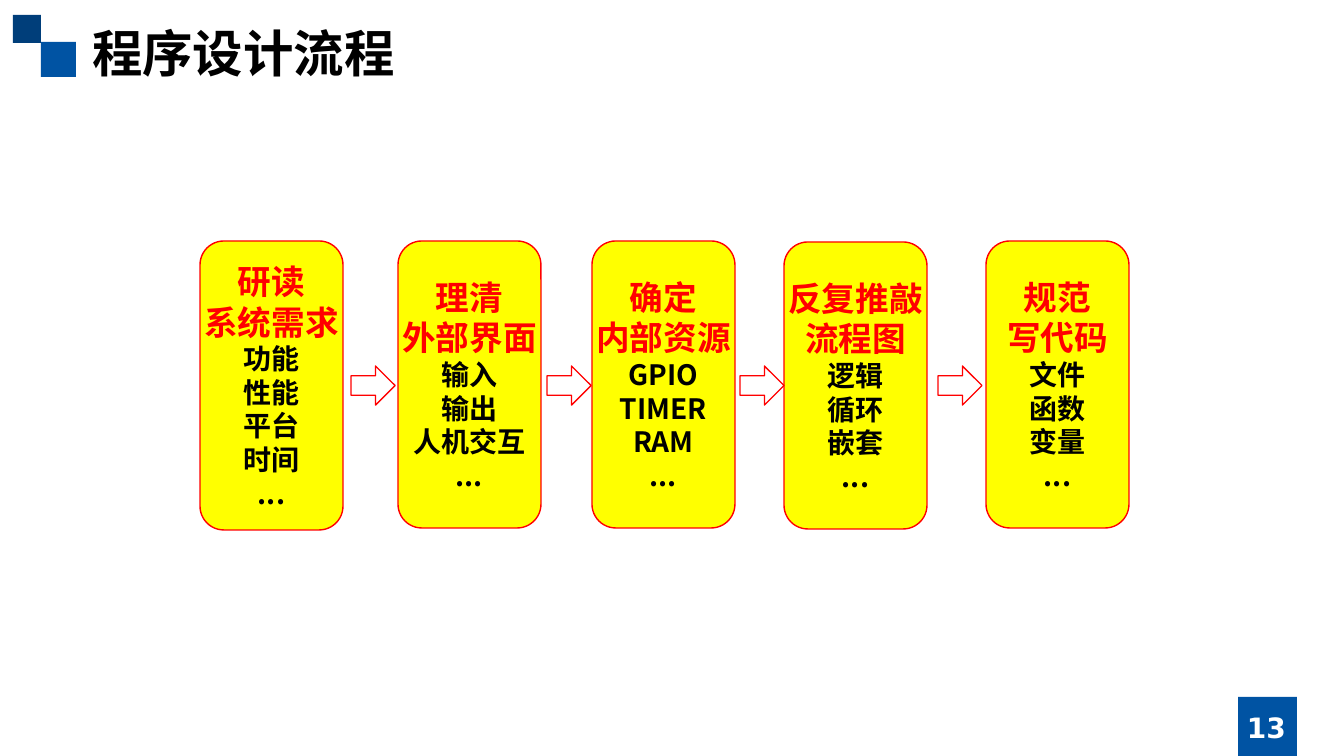
import pptx
import pptx.util
import pptx.dml.color
import pptx.enum.shapes
import pptx.enum.text
import pptx.oxml.ns
import lxml.etree

# Content: lengths are px, (left, top, width, height)
SCALE = 914400 / 100.8
SLIDE_SIZE = (1344, 756)
TITLE = "程序设计流程"
TITLE_BOX = (82, 17, 596, 72)
PAGE_NUMBER = "13"
PAGE_NUMBER_BOX = (1190, 707, 153, 40)
DECORATIONS = [
    ((41, 42, 35, 35), "0053A3"),
    ((13, 15, 28, 28), "003E7A"),
    ((1238, 697, 59, 59), "0053A3"),
]
# Step: left, top, height, heading lines, detail lines
STEPS = [
    (200, 241, 289, ["研读", "系统需求"], ["功能", "性能", "平台", "时间", "..."]),
    (398, 241, 287, ["理清", "外部界面"], ["输入", "输出", "人机交互", "..."]),
    (592, 241, 287, ["确定", "内部资源"], ["GPIO", "TIMER", "RAM", "..."]),
    (784, 242, 287, ["反复推敲", "流程图"], ["逻辑", "循环", "嵌套", "..."]),
    (986, 241, 287, ["规范", "写代码"], ["文件", "函数", "变量", "..."]),
]
STEP_WIDTH = 143
ARROW_LEFTS = [351, 547, 740, 938]
ARROW_TOP, ARROW_WIDTH, ARROW_HEIGHT = 366, 44, 39

# Formats
CHINESE = "Noto Sans CJK SC"
LINE_RATIO = 1.2
TITLE_FORMAT = {"name": CHINESE, "size": 36, "bold": True, "color": "000000"}
HEADING_FORMAT = {"name": CHINESE, "size": 24, "bold": True, "color": "FF0000"}
DETAIL_FORMAT = {"name": CHINESE, "size": 20, "bold": True, "color": "000000"}
NUMBER_FORMAT = {"name": "DejaVu Sans", "size": 20, "bold": True, "color": "FFFFFF"}

SHAPE = pptx.enum.shapes.MSO_SHAPE
ALIGN = pptx.enum.text.PP_ALIGN
ANCHOR = pptx.enum.text.MSO_ANCHOR


def emu(box):
    return [round(length * SCALE) for length in box]


def color(value):
    return pptx.dml.color.RGBColor.from_string(value)


def add_box(slide, kind, box, fill, line=None):
    shape = slide.shapes.add_shape(kind, *emu(box))
    shape.shadow.inherit = False
    shape.fill.solid()
    shape.fill.fore_color.rgb = color(fill)
    if line:
        shape.line.color.rgb = color(line)
        shape.line.width = pptx.util.Pt(1)
    else:
        shape.line.fill.background()
    return shape


def write_lines(shape, lines, align, anchor, wrap):
    frame = shape.text_frame
    frame.auto_size = pptx.enum.text.MSO_AUTO_SIZE.NONE
    frame.word_wrap = wrap
    frame.vertical_anchor = anchor
    for index, (text, text_format) in enumerate(lines):
        paragraph = frame.add_paragraph() if index else frame.paragraphs[0]
        paragraph.alignment = align
        paragraph.line_spacing = pptx.util.Pt(text_format["size"] * LINE_RATIO)
        run = paragraph.add_run()
        run.text = text
        for name, value in text_format.items():
            if name == "color":
                run.font.color.rgb = color(value)
            else:
                setattr(run.font, name, pptx.util.Pt(value) if name == "size" else value)
        # Chinese glyphs take the East Asian typeface
        east_asian = lxml.etree.SubElement(run._r.get_or_add_rPr(), pptx.oxml.ns.qn("a:ea"))
        east_asian.set("typeface", text_format["name"])


def main():
    presentation = pptx.Presentation()
    presentation.slide_width, presentation.slide_height = emu(SLIDE_SIZE)
    slide = presentation.slides.add_slide(presentation.slide_layouts[5])

    # Title
    title = slide.shapes.title
    title.left, title.top, title.width, title.height = emu(TITLE_BOX)
    write_lines(title, [(TITLE, TITLE_FORMAT)], ALIGN.LEFT, ANCHOR.TOP, True)

    # Corner squares and page number
    for box, fill in DECORATIONS:
        add_box(slide, SHAPE.RECTANGLE, box, fill)
    number = slide.shapes.add_textbox(*emu(PAGE_NUMBER_BOX))
    write_lines(number, [(PAGE_NUMBER, NUMBER_FORMAT)], ALIGN.CENTER, ANCHOR.MIDDLE, True)

    # Process steps
    for left, top, height, headings, details in STEPS:
        step = add_box(slide, SHAPE.FLOWCHART_ALTERNATE_PROCESS,
                       (left, top, STEP_WIDTH, height), "FFFF00", "FF0000")
        lines = [(text, HEADING_FORMAT) for text in headings]
        lines += [(text, DETAIL_FORMAT) for text in details]
        write_lines(step, lines, ALIGN.CENTER, ANCHOR.MIDDLE, False)

    # Arrows between steps
    for left in ARROW_LEFTS:
        add_box(slide, SHAPE.RIGHT_ARROW,
                (left, ARROW_TOP, ARROW_WIDTH, ARROW_HEIGHT), "FFFFFF", "FF0000")

    presentation.save("out.pptx")


if __name__ == "__main__":
    main()
